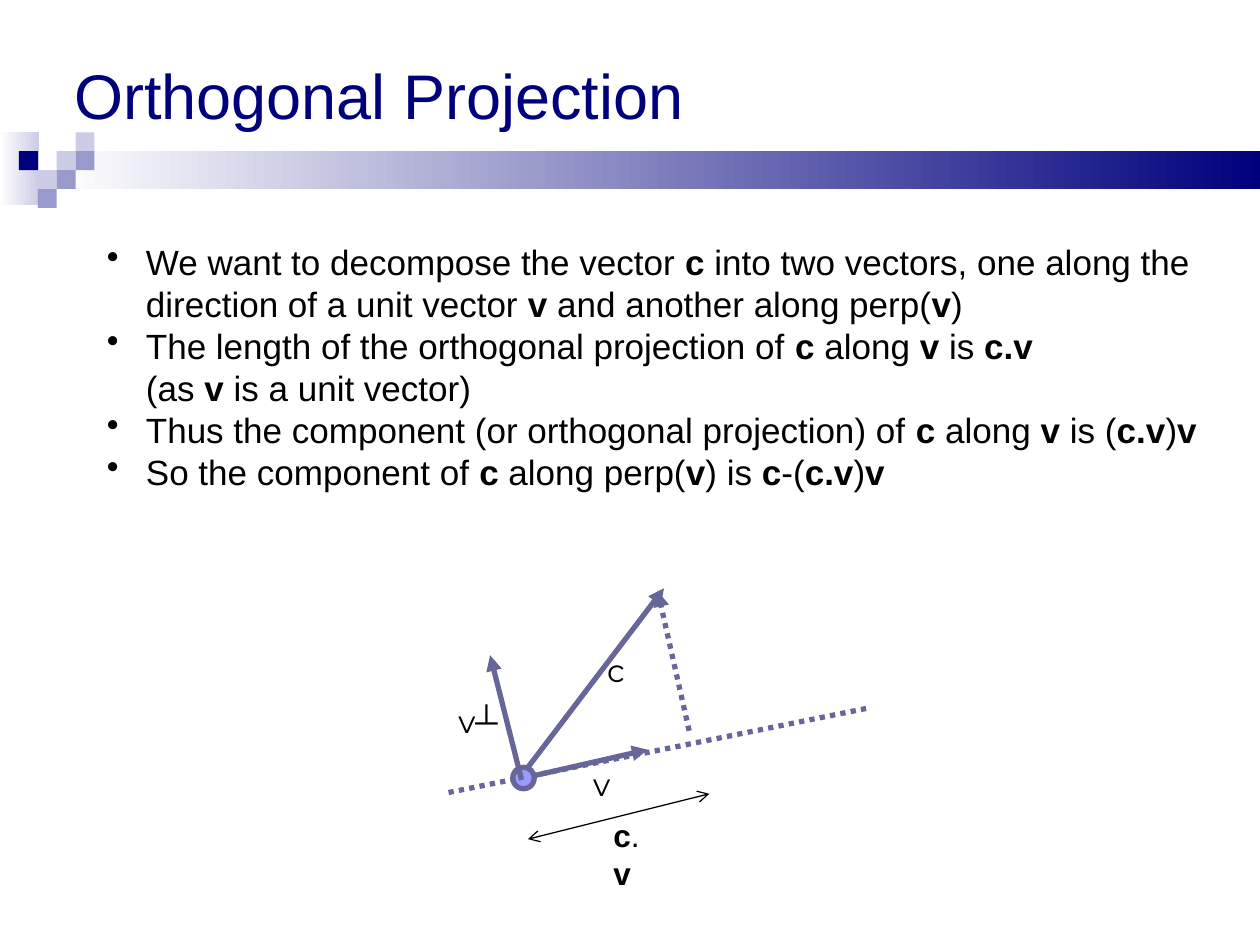
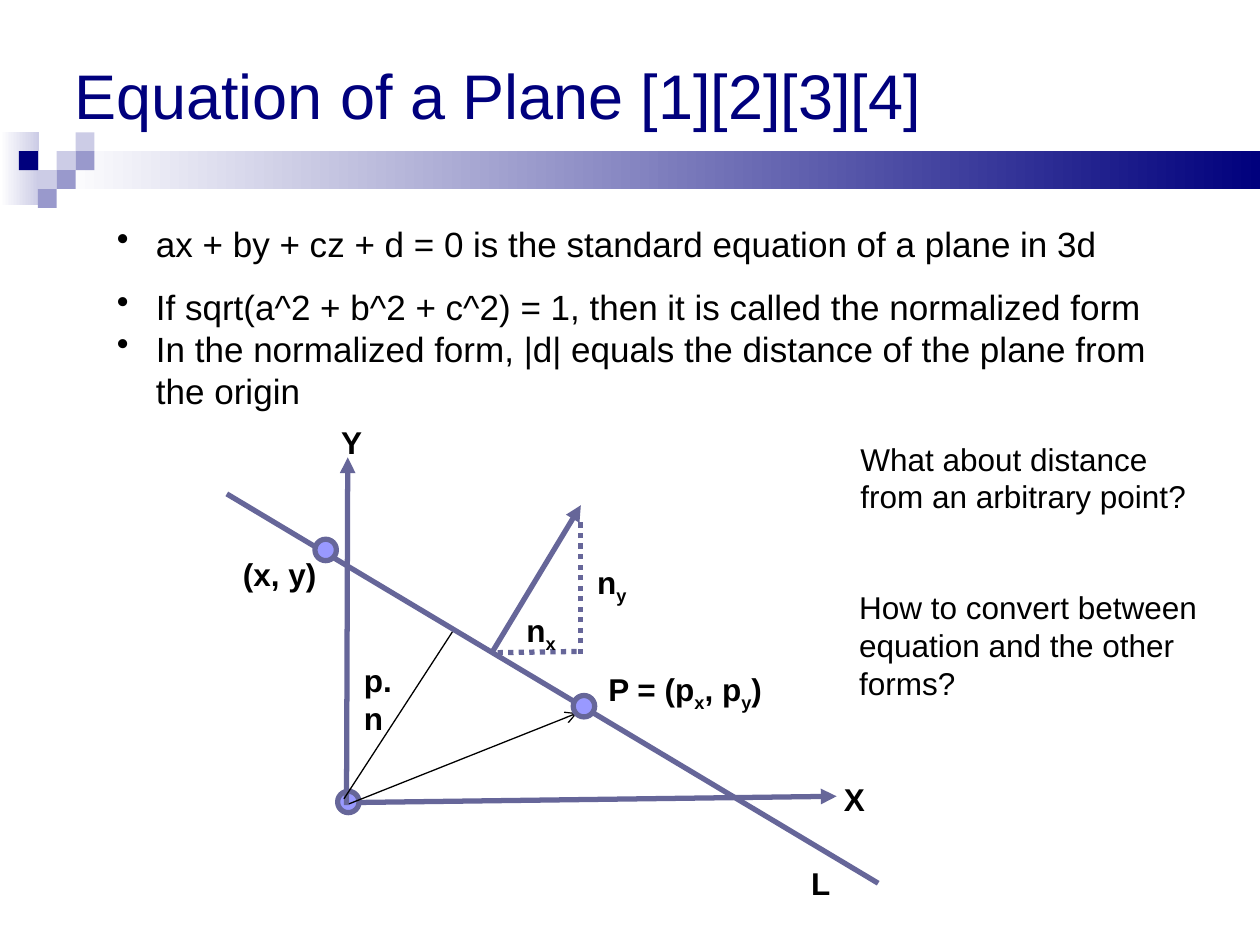
from lxml.etree import SubElement
from pptx import Presentation
from pptx.dml.color import RGBColor
from pptx.enum.dml import MSO_LINE_DASH_STYLE as Dash
from pptx.enum.shapes import MSO_CONNECTOR as Connector, MSO_SHAPE as Shape
from pptx.enum.text import MSO_ANCHOR as Anchor
from pptx.oxml.ns import qn
from pptx.util import Pt

PX = 9144
COLOURS = {"navy": "00007D", "mid": "9999CC", "pale": "CCCCE6", "white": "FFFFFF",
           "black": "000000", "slate": "666699", "dot": "9999FF"}
BOLD, SUBSCRIPT, ARIAL = "*", "_", "~"
DOT_SIZE = 17
SQUARE = 15
SQUARES = [(1, 1, "pale"), (2, 0, "pale"), (2, 1, "mid"), (0, 2, "pale"),
           (-1, 1, "navy"), (1, 2, "mid"), (0, 3, "mid")]


def colour(name):
    return RGBColor.from_string(COLOURS[name])


class Deck:
    """Holds the style, the presentation and the page being drawn."""

    def __init__(self, width, height):
        self.deck = Presentation()
        self.deck.slide_width, self.deck.slide_height = width * PX, height * PX
        self.page = None

    def add_page(self, title):
        self.page = self.deck.slides.add_slide(self.deck.slide_layouts[6])
        self.band(0, 105, 31, 58, "pale")
        self.band(45, 120, 955, 30, "navy")
        for column, row, name in SQUARES:
            square = self.shape(Shape.RECTANGLE, 30 + column * SQUARE,
                                105 + row * SQUARE, SQUARE, SQUARE)
            square.fill.solid()
            square.fill.fore_color.rgb = colour(name)
        self.text(49, 0, 900, 150, [title], size=36, ink="navy", anchor=Anchor.MIDDLE)

    def shape(self, kind, left, top, width, height):
        shape = self.page.shapes.add_shape(kind, left * PX, top * PX, width * PX, height * PX)
        shape.shadow.inherit = False
        shape.line.fill.background()
        return shape

    def band(self, left, top, width, height, end):
        fill = self.shape(Shape.RECTANGLE, left, top, width, height).fill
        fill.gradient()
        fill.gradient_angle = 0
        for stop, name in zip(fill.gradient_stops, ("white", end)):
            stop.color.rgb = colour(name)

    def dot(self, left, top):
        dot = self.shape(Shape.OVAL, left, top, DOT_SIZE, DOT_SIZE)
        dot.fill.solid()
        dot.fill.fore_color.rgb = colour("dot")
        dot.line.color.rgb = colour("slate")
        dot.line.width = Pt(3)

    def line(self, start, end, ink="slate", weight=3, dotted=False, head=None, tail=None):
        line = self.page.shapes.add_connector(
            Connector.STRAIGHT, *(value * PX for value in (*start, *end)))
        line.line.color.rgb = colour(ink)
        line.line.width = Pt(weight)
        if dotted:
            line.line.dash_style = Dash.ROUND_DOT
        outline = line.line._get_or_add_ln()
        for tag, kind in (("a:headEnd", head), ("a:tailEnd", tail)):
            if kind:
                SubElement(outline, qn(tag), type=kind)
        SubElement(line._element.spPr, qn("a:effectLst"))

    def arrow(self, start, end, dotted=False):
        self.line(start, end, dotted=dotted, tail="triangle")

    def thin_line(self, start, end, head=None, tail=None):
        self.line(start, end, "black", 0.75, head=head, tail=tail)

    def spans(self, para, text):
        mark = next((mark for mark in (BOLD, SUBSCRIPT, ARIAL) if mark in text), BOLD)
        for row, line in enumerate(text.split("\n")):
            if row:
                para.add_line_break()
            for index, piece in enumerate(line.split(mark)):
                if not piece:
                    continue
                span = para.add_run()
                span.text = piece
                if index % 2 and mark == BOLD:
                    span.font.bold = True
                elif index % 2 and mark == SUBSCRIPT:
                    span._r.get_or_add_rPr().set("baseline", "-25000")
                elif index % 2:
                    span.font.name = "Arial"

    def bullet(self, para):
        props = para._p.get_or_add_pPr()
        props.set("marL", str(31 * PX))
        props.set("indent", str(-31 * PX))
        tint = SubElement(props, qn("a:buClr"))
        SubElement(tint, qn("a:srgbClr"), val=COLOURS["black"])
        SubElement(props, qn("a:buChar"), char="•")

    def text(self, left, top, width, height, paras, size=18, ink="black", font="Arial",
             bold=False, wrap=True, bullets=False, anchor=Anchor.TOP, spacings=()):
        box = self.page.shapes.add_textbox(left * PX, top * PX, width * PX, height * PX)
        frame = box.text_frame
        frame.word_wrap = wrap
        frame.vertical_anchor = anchor
        for index, words in enumerate(paras):
            para = frame.add_paragraph() if index else frame.paragraphs[0]
            if bullets:
                self.bullet(para)
            para.font.name, para.font.size, para.font.bold = font, Pt(size), bold
            para.font.color.rgb = colour(ink)
            if index < len(spacings):
                para.line_spacing = spacings[index]
            self.spans(para, words)

    def bullets(self, left, top, width, height, paras, spacings=()):
        self.text(left, top, width, height, paras, 20, bullets=True, spacings=spacings)

    def vector_label(self, left, top, width, words):
        self.text(left, top, width, 40, [words], font="Montserrat")

    def label(self, left, top, width, words, wrap=False):
        self.text(left, top, width, 40, [words], bold=True, wrap=wrap)


def add_projection(deck):
    deck.add_page("Orthogonal Projection")
    deck.line((356, 629), (689, 562), dotted=True)
    deck.arrow((418, 617), (514, 595))
    deck.dot(407, 609)
    deck.arrow((419, 609), (527, 467))
    deck.vector_label(461, 602, 42, "v")
    deck.vector_label(472, 512, 42, "c")
    deck.arrow((547, 580), (522, 469), dotted=True)
    deck.arrow((414, 619), (389, 520))
    deck.vector_label(354, 552, 83, "v~┴~")
    deck.bullets(75, 186, 906, 270, [
        "We want to decompose the vector *c* into two vectors, one along the "
        "direction of a unit vector *v* and another along perp(*v*)",
        "The length of the orthogonal projection of *c* along *v* is *c.v*\n"
        "(as *v* is a unit vector)",
        "Thus the component (or orthogonal projection) of *c* along *v* is (*c.v*)*v*",
        "So the component of *c* along perp(*v*) is *c*-(*c.v*)*v*"])
    deck.thin_line((419, 666), (563, 630), head="arrow", tail="arrow")
    deck.text(477, 643, 54, 70, ["*c*.*v*"], wrap=False)


def add_plane(deck):
    deck.add_page("Equation of a Plane [1][2][3][4]")
    deck.bullets(83, 155, 866, 177, [
        "ax + by + cz + d = 0 is the standard equation of a plane in 3d",
        "If sqrt(a^2 + b^2 + c^2) = 1, then it is called the normalized form",
        "In the normalized form, |d| equals the distance of the plane from the origin"],
        spacings=(1.5, 1.5))
    deck.arrow((278, 637), (664, 632))
    deck.dot(268, 628)
    deck.label(473, 527, 147, "P = (p_x_, p_y_)", wrap=True)
    deck.arrow((275, 639), (276, 363))
    deck.arrow((391, 517), (461, 401))
    deck.thin_line((277, 638), (458, 566), tail="arrow")
    deck.thin_line((273, 634), (360, 500))
    deck.line((395, 518), (461, 517), dotted=True)
    deck.line((461, 519), (461, 414), dotted=True)
    deck.label(279, 520, 57, "p.n")
    deck.line((180, 392), (697, 701))
    for left, top, words in ((261, 331, "Y"), (660, 614, "X"), (634, 681, "L")):
        deck.label(left, top, 36, words)
    deck.dot(455, 552)
    deck.label(408, 480, 54, "n_x_", wrap=True)
    deck.label(464, 442, 54, "n_y_", wrap=True)
    deck.label(183, 436, 91, "(x, y)", wrap=True)
    deck.dot(250, 428)
    deck.text(673, 344, 291, 70, ["What about distance from an arbitrary point?"])
    deck.text(672, 462, 301, 100, ["How to convert between equation and the other forms?"])


def main():
    deck = Deck(1000, 750)
    add_projection(deck)
    add_plane(deck)
    deck.deck.save("out.pptx")


if __name__ == "__main__":
    main()
